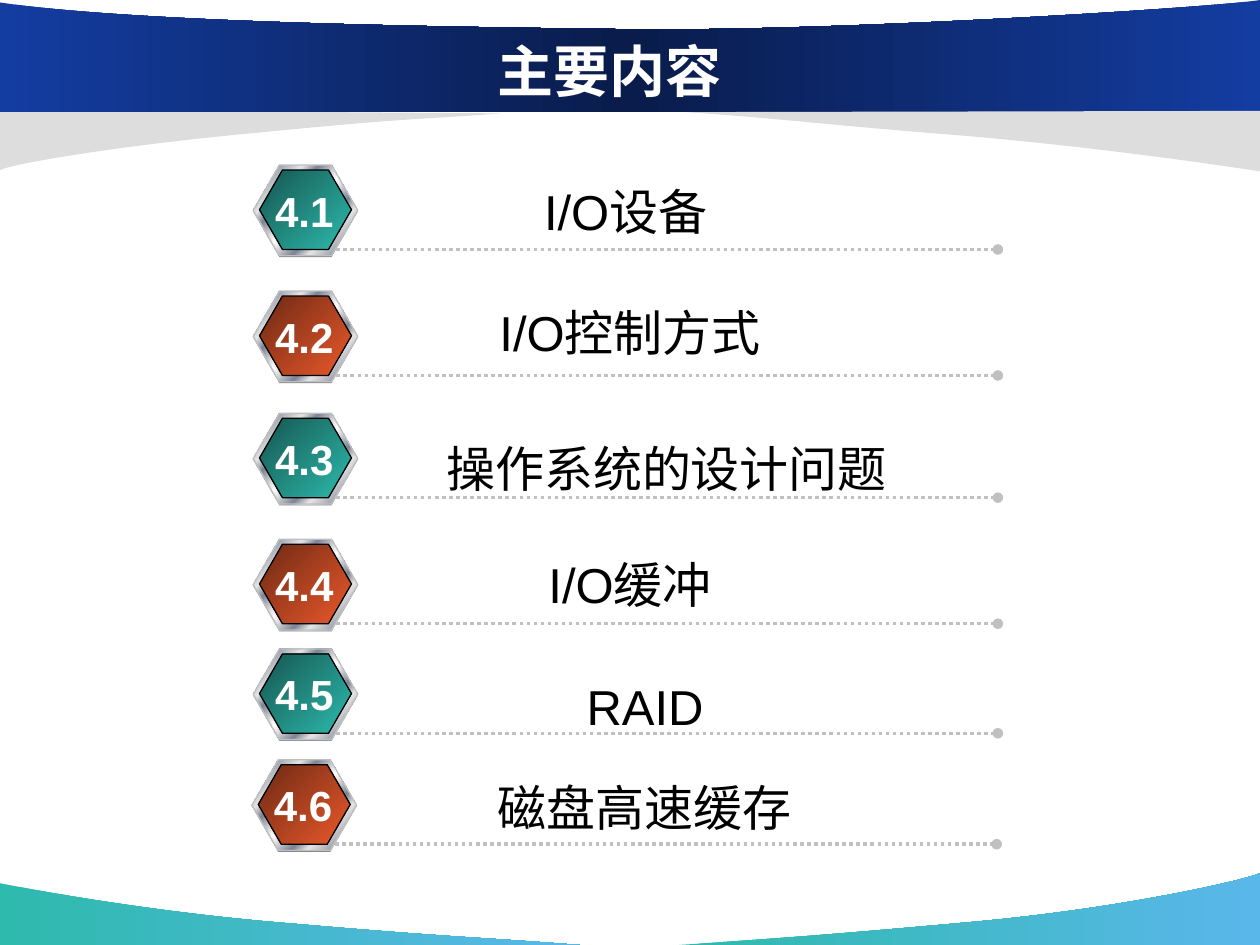
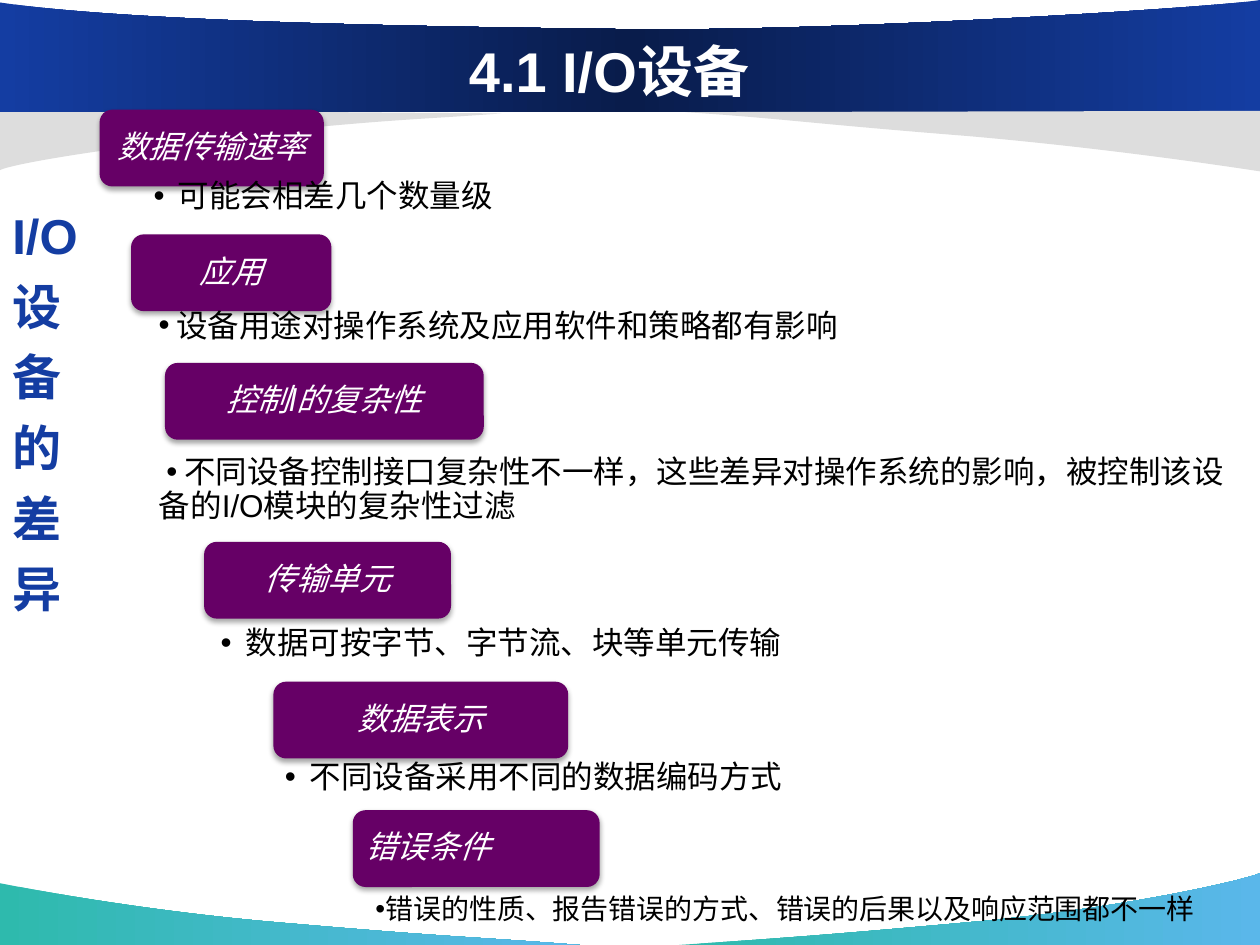
import pptx
import pptx.util
import pptx.dml.color
import pptx.enum.shapes
import pptx.enum.text
import pptx.oxml.ns
from lxml import etree

Inches = pptx.util.Inches
Pt = pptx.util.Pt
RGBColor = pptx.dml.color.RGBColor
MSO_SHAPE = pptx.enum.shapes.MSO_SHAPE
PP_ALIGN = pptx.enum.text.PP_ALIGN
MSO_ANCHOR = pptx.enum.text.MSO_ANCHOR
MSO_AUTO_SIZE = pptx.enum.text.MSO_AUTO_SIZE
qn = pptx.oxml.ns.qn

FONT = "Arial"
WHITE = RGBColor(0xFF, 0xFF, 0xFF)
BLACK = RGBColor(0x00, 0x00, 0x00)
GRAY = RGBColor(0x80, 0x80, 0x80)
SILVER = RGBColor(0xC0, 0xC0, 0xC0)
PALE = RGBColor(0xDD, 0xDD, 0xDD)
BLUE = RGBColor(0x14, 0x3D, 0xA2)
NAVY = RGBColor(0x09, 0x1C, 0x4B)
TEAL = RGBColor(0x2E, 0xBA, 0xAD)
DARK_TEAL = RGBColor(0x15, 0x56, 0x50)
SKY = RGBColor(0x5A, 0xB7, 0xEA)
ORANGE = RGBColor(0xEB, 0x59, 0x2B)
DARK_ORANGE = RGBColor(0x6D, 0x29, 0x14)
PURPLE = RGBColor(0x66, 0x00, 0x66)
LIGHT = RGBColor(0xE6, 0xE6, 0xE6)
STEEL = RGBColor(0x7D, 0x84, 0x96)

FOOTER_GRADIENT = [(0, TEAL), (100, SKY)]
BANNER_GRADIENT = [(0, BLUE), (50, NAVY), (100, BLUE)]
METAL_GRADIENT = [(0, LIGHT), (8, STEEL), (26, LIGHT), (34, STEEL), (46, LIGHT), (50, WHITE),
                  (54, LIGHT), (66, STEEL), (74, LIGHT), (92, STEEL), (100, LIGHT)]
BADGE_GRADIENTS = [[(0, DARK_TEAL), (100, TEAL)], [(0, DARK_ORANGE), (100, ORANGE)]]

BANDS = [
    ([(4.6, 7.5), (3.84, 7.44, 3.58, 7.44, 2.32, 7.33), (1.06, 7.23, 0.01, 7.01, 0, 7.01),
      (0, 7.5), (4.6, 7.5)], FOOTER_GRADIENT),
    ([(5.39, 7.5), (6.14, 7.45, 6.46, 7.43, 7.69, 7.32), (8.92, 7.21, 9.9, 6.98, 10, 6.93),
      (10, 7.5), (5.39, 7.5)], FOOTER_GRADIENT),
    ([(3.98, 0.9), (3.31, 0.95, 3.18, 0.94, 2.08, 1.05), (0.97, 1.15, 0.09, 1.3, 0, 1.35),
      (0, 0.87), (3.98, 0.9)], PALE),
    ([(0, 0.89), (10, 0.89), (10, 0), (9.64, 0.06, 6.53, 0.26, 4.87, 0.23),
      (3.21, 0.21, 1.01, 0.17, 0, 0.02), (0, 0.89)], BANNER_GRADIENT),
    ([(5.44, 0.89), (6.2, 0.94, 6.42, 0.98, 7.68, 1.08), (8.94, 1.19, 9.99, 1.36, 10, 1.36),
      (10, 0.88), (5.44, 0.89)], PALE),
]

TOPICS = [
    (2.01, 1.31, "I/O设备", (3.67, 1.39, 2.59)),
    (2.01, 2.31, "I/O控制方式", (3.35, 2.35, 3.3)),
    (2.01, 3.28, "操作系统的设计问题", (3.32, 3.43, 3.94)),
    (2.01, 4.28, "I/O缓冲", (3.11, 4.35, 3.78)),
    (2.01, 5.15, "RAID", (3.9, 5.32, 2.44)),
    (2.0, 6.03, "磁盘高速缓存", (3.46, 6.12, 3.31)),
]

DIFFERENCES = [
    ("数据传输速率", (0.79, 0.87, 1.78), "可能会相差几个数量级", (0.9, 1.4, 4.45, 0.46), 0.19, -0.19),
    ("应用", (1.04, 1.86, 1.59), "设备用途对操作系统及应用软件和策略都有影响",
     (0.51, 2.43, 9.49, 0.46), 0.57, -0.14),
    ("控制l的复杂性", (1.31, 2.88, 2.53),
     " 不同设备控制接口复杂性不一样，这些差异对操作系统的影响，被控制该设备的I/O模块的复杂性过滤",
     (0, 3.59, 10.01, 0.73), 0.94, 0.06),
    ("传输单元", (1.62, 4.3, 1.96), "数据可按字节、字节流、块等单元传输",
     (0, 4.95, 10.01, 0.46), 1.63, -0.2),
    ("数据表示", (2.17, 5.41, 2.34), "不同设备采用不同的数据编码方式",
     (0, 6.01, 10.01, 0.46), 2.14, -0.2),
    ("错误条件", (2.8, 6.43, 1.96), "错误的性质、报告错误的方式、错误的后果以及响应范围都不一样",
     (0.09, 7.08, 9.84, 0.42), 2.65, -0.08),
]


def set_gradient(sp, stops, angle):
    sp.fill.gradient()
    grad = sp._element.spPr.find(qn("a:gradFill"))
    stop_list = grad.find(qn("a:gsLst"))
    for stop in list(stop_list):
        stop_list.remove(stop)
    for position, color in stops:
        stop = etree.SubElement(stop_list, qn("a:gs"), pos=str(position * 1000))
        etree.SubElement(stop, qn("a:srgbClr"), val=str(color))
    lin = grad.find(qn("a:lin"))
    lin.set("ang", str(angle * 60000))
    lin.set("scaled", "0")


def style_shape(sp, fill, angle=0, line=None):
    sp.shadow.inherit = False
    if isinstance(fill, list):
        set_gradient(sp, fill, angle)
    else:
        sp.fill.solid()
        sp.fill.fore_color.rgb = fill
    if line is None:
        sp.line.fill.background()
    else:
        sp.line.color.rgb = line
        sp.line.width = Pt(0.75)


def add_text(shapes, box, text, size, color, bold=False, italic=False, align=PP_ALIGN.CENTER,
             anchor=MSO_ANCHOR.TOP, spacing=None, margins=(0.1, 0.05, 0.1, 0.05)):
    sp = shapes.add_textbox(*map(Inches, box))
    tf = sp.text_frame
    tf.word_wrap = True
    tf.vertical_anchor = anchor
    tf.margin_left, tf.margin_top, tf.margin_right, tf.margin_bottom = map(Inches, margins)
    tf.text = text
    p = tf.paragraphs[0]
    p.alignment = align
    if spacing:
        p.line_spacing = spacing
    for r in p.runs:
        r.font.name = FONT
        r.font.size = Pt(size)
        r.font.bold = bold
        r.font.italic = italic
        r.font.color.rgb = color
    return sp


def add_curved_shape(slide, outline):
    points = [(Inches(x), Inches(y))
              for segment in outline for x, y in zip(segment[::2], segment[1::2])]
    builder = slide.shapes.build_freeform(*points[0])
    builder.add_line_segments(points[1:], close=True)
    sp = builder.convert_to_shape()
    steps = iter(list(sp._element.iter(qn("a:lnTo"))))
    for segment in outline[1:]:
        step = next(steps)
        if len(segment) == 6:
            step.addprevious(curve := etree.Element(qn("a:cubicBezTo")))
            for part in (step, next(steps), next(steps)):
                curve.append(part[0])
                part.getparent().remove(part)
    return sp


def add_bands(layout, slide):
    for ph in list(layout.placeholders):
        ph._element.getparent().remove(ph._element)
    for outline, fill in BANDS:
        sp = add_curved_shape(slide, outline)
        style_shape(sp, fill)
        layout.shapes._spTree.append(sp._element)


def add_title(slide, text):
    add_text(slide.shapes, (0.92, 0.25, 7.83, 0.62), text, 32, WHITE, bold=True,
             anchor=MSO_ANCHOR.MIDDLE)


def add_hexagon(shapes, box, fill, line=None):
    sp = shapes.add_shape(MSO_SHAPE.HEXAGON, *map(Inches, box))
    sp.adjustments[0] = 0.289
    sp.adjustments[1] = 1.155
    style_shape(sp, fill, 45, line)


def add_dotted_line(shapes, x1, x2, y):
    line = shapes.add_connector(pptx.enum.shapes.MSO_CONNECTOR.STRAIGHT,
                                Inches(x1), Inches(y), Inches(x2), Inches(y))
    line.line.color.rgb = SILVER
    line.line.width = Pt(2)
    ln = line.line._get_or_add_ln()
    etree.SubElement(ln, qn("a:prstDash"), val="sysDot")
    etree.SubElement(ln, qn("a:tailEnd"), type="oval")
    etree.SubElement(line._element.spPr, qn("a:effectLst"))


def add_topic(slide, number, left, top, topic, topic_box):
    shapes = slide.shapes.add_group_shape().shapes
    add_hexagon(shapes, (left, top + 0.01, 0.83, 0.72), GRAY)
    add_hexagon(shapes, (left, top, 0.83, 0.72), METAL_GRADIENT, SILVER)
    add_hexagon(shapes, (left + 0.05, top + 0.04, 0.73, 0.63),
                BADGE_GRADIENTS[(number - 1) % 2], BLACK)
    add_dotted_line(shapes, left + 0.66, left + 5.91, top + 0.67)
    badge = add_text(shapes, (left + 0.07, top + 0.11, 0.67, 0.51), f"4.{number}", 24, WHITE,
                     bold=True)
    badge.text_frame.word_wrap = False
    name = add_text(slide.shapes, (*topic_box, 0.57), topic, 28, BLACK)
    for sp in (badge, name):
        sp.text_frame.auto_size = MSO_AUTO_SIZE.SHAPE_TO_FIT_TEXT


def add_label(shapes, left, top, width, text, align):
    sp = shapes.add_shape(MSO_SHAPE.ROUNDED_RECTANGLE, *map(Inches, (left, top, width, 0.61)))
    style_shape(sp, PURPLE)
    shadow = etree.SubElement(sp._element.spPr.find(qn("a:effectLst")), qn("a:outerShdw"),
                              blurRad=str(Pt(3.1)), dist=str(Pt(1.8)), dir="5400000",
                              rotWithShape="0")
    color = etree.SubElement(shadow, qn("a:srgbClr"), val=str(BLACK))
    etree.SubElement(color, qn("a:alpha"), val="35000")
    add_text(shapes, (left + 0.03, top + 0.03, width - 0.06, 0.55), text, 18, WHITE, italic=True,
             align=align, anchor=MSO_ANCHOR.MIDDLE, spacing=0.9, margins=[0.07] * 4)


def add_note(shapes, box, text, size, margin, indent):
    sp = add_text(shapes, box, text, size, BLACK, align=PP_ALIGN.LEFT, spacing=0.9,
                  margins=(0.32, 0.03, 0.14, 0.03))
    pPr = sp.text_frame.paragraphs[0]._p.get_or_add_pPr()
    pPr.set("marL", str(Inches(margin)))
    pPr.set("indent", str(Inches(indent)))
    etree.SubElement(pPr, qn("a:buFont"), typeface=FONT)
    etree.SubElement(pPr, qn("a:buChar"), char="•")


def build_contents(slide):
    add_title(slide, "主要内容")
    for number, topic in enumerate(TOPICS, 1):
        add_topic(slide, number, *topic)


def build_differences(slide):
    shapes = slide.shapes.add_group_shape().shapes
    for label, label_box, note, note_box, margin, indent in DIFFERENCES:
        last = label == DIFFERENCES[-1][0]
        add_label(shapes, *label_box, label, PP_ALIGN.LEFT if last else PP_ALIGN.CENTER)
        add_note(shapes, note_box, note, 16 if last else 18, margin, indent)
    add_text(slide.shapes, (0, 1.49, 0.75, 3.31), "I/O设备的差异", 28, BLUE, bold=True,
             align=PP_ALIGN.LEFT, spacing=1.2)
    add_title(slide, "4.1 I/O设备")


def main():
    prs = pptx.Presentation()
    prs.slide_width = Inches(10)
    prs.slide_height = Inches(7.5)
    layout = prs.slide_layouts[6]
    contents = prs.slides.add_slide(layout)
    add_bands(layout, contents)
    build_contents(contents)
    build_differences(prs.slides.add_slide(layout))
    prs.save("out.pptx")


if __name__ == "__main__":
    main()
